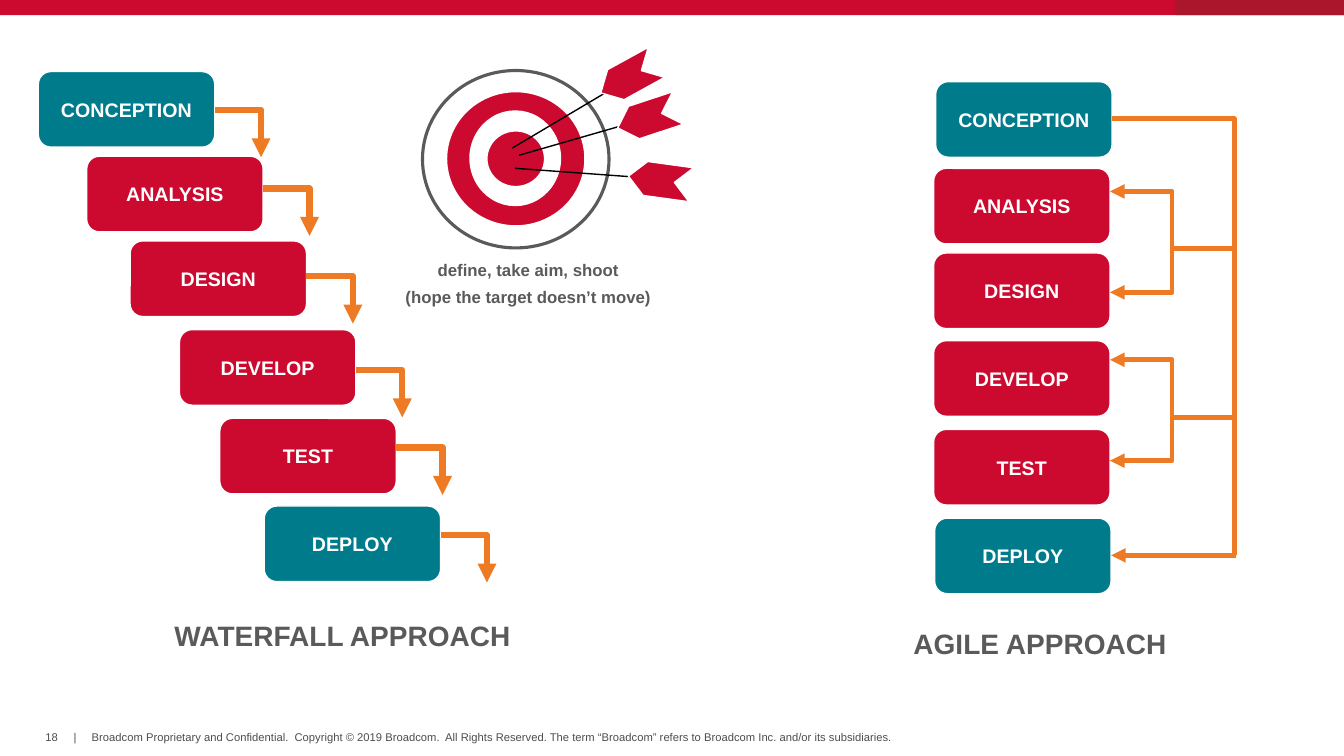
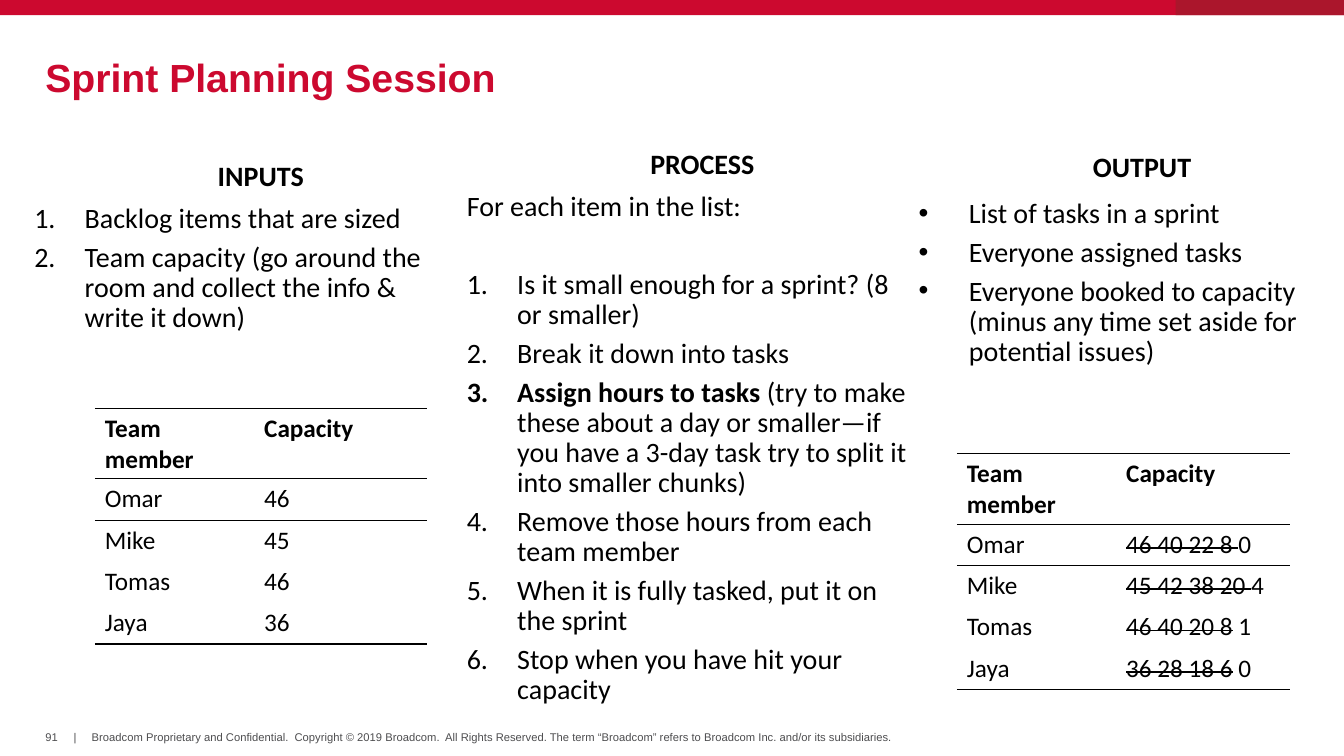
from lxml import etree
from pptx import Presentation
from pptx.dml.color import RGBColor
from pptx.enum.shapes import MSO_CONNECTOR, MSO_SHAPE
from pptx.enum.text import MSO_ANCHOR, PP_ALIGN
from pptx.oxml.ns import qn
from pptx.util import Inches, Pt

RECTANGLE, ROUNDED = MSO_SHAPE.RECTANGLE, MSO_SHAPE.ROUNDED_RECTANGLE
OVAL, CHEVRON = MSO_SHAPE.OVAL, MSO_SHAPE.CHEVRON
STRAIGHT, ELBOW = MSO_CONNECTOR.STRAIGHT, MSO_CONNECTOR.ELBOW
LEFT, CENTER = PP_ALIGN.LEFT, PP_ALIGN.CENTER
TOP, MIDDLE = MSO_ANCHOR.TOP, MSO_ANCHOR.MIDDLE

RED, DARK_RED, TEAL, ORANGE = "CC092F", "AB162C", "007B8C", "EE7B23"
GRAY, FOOTER_GRAY, WHITE, BLACK = "5A5A5A", "4D4D4F", "FFFFFF", "000000"

FOOTER = {"name": "Arial", "size": Pt(8), "color": FOOTER_GRAY}
TITLE = {"name": "Arial", "size": Pt(28), "color": RED, "bold": True}
STAGE = {"name": "Arial", "size": Pt(14), "color": WHITE, "bold": True}
APPROACH = {"name": "Arial", "size": Pt(20), "color": GRAY, "bold": True}
CAPTION = {**APPROACH, "size": Pt(12)}
BODY = {"name": "Calibri", "size": Pt(20), "color": BLACK}
HEADING = {**BODY, "bold": True}
CELL = {**BODY, "size": Pt(18)}

NUMBER = ("a:buAutoNum", {"type": "arabicPeriod"})
BULLET = ("a:buChar", {"char": "•"})
NO_TABLE_STYLE = "{2D5ABB26-0587-4C30-8999-92F81FD0307C}"
COPYRIGHT = (
    "Broadcom Proprietary and Confidential.  Copyright © 2019 Broadcom.  "
    "All Rights Reserved. The term “Broadcom” refers to Broadcom Inc. "
    "and/or its subsidiaries."
)

STAGE_WIDTH, STAGE_HEIGHT = 1.75, 0.75
STAGES = ["CONCEPTION", "ANALYSIS", "DESIGN", "DEVELOP", "TEST", "DEPLOY"]
WATERFALL = [
    (0.38, 0.71, 1.09), (0.86, 1.55, 1.87), (1.29, 2.39, 2.74),
    (1.78, 3.27, 3.67), (2.18, 4.15, 4.44), (2.62, 5.02, 5.31),
]
AGILE = [
    (9.28, 0.81), (9.26, 1.67), (9.26, 2.51),
    (9.26, 3.38), (9.26, 4.26), (9.27, 5.14),
]
TARGET_RINGS = [
    (4.19, 0.7, 1.85, 1.76, WHITE, GRAY),
    (4.42, 0.9, 1.39, 1.35, RED, WHITE),
    (4.67, 1.11, 0.88, 0.92, WHITE, WHITE),
    (4.82, 1.29, 0.59, 0.57, RED, WHITE),
]
DART_SHAFTS = [
    (5.08, 1.47, 6.14, 0.84),
    (5.15, 1.54, 6.4, 1.18),
    (5.11, 1.67, 6.48, 1.77),
]
DART_FLIGHTS = [(5.92, 0.6, 151.2), (6.11, 1, 161.7), (6.23, 1.62, 187.8)]

MEMBERS = ["Omar", "Mike", "Tomas", "Jaya"]
CAPACITIES = ["46", "45", "46", "36"]
REMAINING = [
    ("46 40 22 8 ", "0"), ("45 42 38 20 ", "4"),
    ("46 40 20 8", " 1"), ("36 28 18 6", " 0"),
]


def color(value):
    return RGBColor.from_string(value)


def add_child(parent, tag, **attributes):
    return etree.SubElement(parent, qn(tag), attributes)


class Deck:
    """Hold the shared style and the current slide."""

    def __init__(self):
        self.presentation = Presentation()
        self.presentation.slide_width = Inches(13.33)
        self.presentation.slide_height = Inches(7.5)
        self.slide = None

    def new_slide(self, number):
        layout = self.presentation.slide_layouts[6]
        self.slide = self.presentation.slides.add_slide(layout)
        self.shape(RECTANGLE, 0, 0, 13.33, 0.15, RED)
        self.shape(RECTANGLE, 11.66, 0, 1.67, 0.15, DARK_RED)
        for left, width, text in [
            (0.45, 0.14, number), (0.73, 0.03, "|"), (0.91, 8.01, COPYRIGHT)
        ]:
            self.text(left, 7.25, width, 0.13, [text], FOOTER,
                      wrap=False, spacing=1)

    def add_runs(self, paragraph, content, style):
        runs = [(content, {})] if isinstance(content, str) else content
        for text, changes in runs:
            run = paragraph.add_run()
            run.text = text
            for name, value in {**style, **changes}.items():
                if name == "color":
                    run.font.color.rgb = color(value)
                elif name == "strike":
                    run._r.get_or_add_rPr().set("strike", value)
                else:
                    setattr(run.font, name, value)

    def text(self, left, top, width, height, contents, style, wrap=True,
             align=LEFT, anchor=TOP, spacing=0.9, bullet=None, plain=0):
        box = self.slide.shapes.add_textbox(
            Inches(left), Inches(top), Inches(width), Inches(height))
        frame = box.text_frame
        settings = {"word_wrap": wrap, "vertical_anchor": anchor,
                    "margin_left": 0, "margin_right": 0,
                    "margin_top": 0, "margin_bottom": 0}
        for name, value in settings.items():
            setattr(frame, name, value)
        for index, content in enumerate(contents):
            paragraph = frame.add_paragraph() if index else frame.paragraphs[0]
            paragraph.alignment = align
            paragraph.line_spacing = spacing
            after_intro = plain and index == plain
            paragraph.space_before = Pt(34 if after_intro else 6 if index else 0)
            if bullet and index >= plain:
                self.bullet(paragraph, bullet)
            self.add_runs(paragraph, content, style)

    def bullet(self, paragraph, kind):
        properties = paragraph._p.get_or_add_pPr()
        properties.set("marL", str(Inches(0.5)))
        properties.set("indent", str(-Inches(0.5)))
        tag, attributes = kind
        add_child(properties, "a:buFont", typeface="Arial" if kind is BULLET else "+mj-lt")
        add_child(properties, tag, **attributes)

    def shape(self, kind, left, top, width, height, fill,
              line=None, line_width=1, rotation=0):
        shape = self.slide.shapes.add_shape(
            kind, Inches(left), Inches(top), Inches(width), Inches(height))
        shape.shadow.inherit = False
        shape.rotation = rotation
        shape.fill.solid()
        shape.fill.fore_color.rgb = color(fill)
        if line:
            shape.line.color.rgb = color(line)
            shape.line.width = Pt(line_width)
        else:
            shape.line.fill.background()
        return shape

    def stage(self, left, top, text):
        fill = TEAL if text in (STAGES[0], STAGES[-1]) else RED
        shape = self.shape(ROUNDED, left, top, STAGE_WIDTH, STAGE_HEIGHT,
                           fill, WHITE)
        shape.text_frame.vertical_anchor = MIDDLE
        paragraph = shape.text_frame.paragraphs[0]
        paragraph.alignment = CENTER
        self.add_runs(paragraph, text, STAGE)

    def connector(self, kind, start_x, start_y, end_x, end_y, line,
                  width, arrow=False, one_bend=False):
        connector = self.slide.shapes.add_connector(
            kind, Inches(start_x), Inches(start_y), Inches(end_x), Inches(end_y))
        connector.line.color.rgb = color(line)
        connector.line.width = Pt(width)
        properties = connector._element.spPr
        if one_bend:
            properties.find(qn("a:prstGeom")).set("prst", "bentConnector2")
        if arrow:
            add_child(properties.find(qn("a:ln")), "a:tailEnd", type="triangle")
        add_child(properties, "a:effectLst")

    def border(self, cell, sides):
        properties = cell._tc.get_or_add_tcPr()
        for position, side in enumerate(sides):
            line = etree.Element(qn(f"a:ln{side}"), {"w": str(Pt(1))})
            fill = add_child(line, "a:solidFill")
            add_child(fill, "a:srgbClr", val=BLACK)
            properties.insert(position, line)

    def capacity_table(self, left, top, capacities):
        rows = [("Team member", "Capacity"), *zip(MEMBERS, capacities)]
        table = self.slide.shapes.add_table(
            len(rows), 2, Inches(left), Inches(top),
            Inches(3.3), Inches(2.34)).table
        table.horz_banding = False
        table._tbl.tblPr.find(qn("a:tableStyleId")).text = NO_TABLE_STYLE
        for column, width in zip(table.columns, (1.58, 1.72)):
            column.width = Inches(width)
        last = len(rows) - 1
        for index, contents in enumerate(rows):
            table.rows[index].height = Inches(0.41 if index else 0.7)
            style = {**CELL, "bold": index == 0}
            for column, content in enumerate(contents):
                cell = table.cell(index, column)
                cell.fill.background()
                self.add_runs(cell.text_frame.paragraphs[0], content, style)
                self.border(cell, {0: "TB", 1: "T", last: "B"}.get(index, ""))


def add_approaches(deck):
    deck.new_slide("18")
    for name, (left, top, arrow_y) in zip(STAGES, WATERFALL):
        deck.stage(left, top, name)
        right = left + STAGE_WIDTH
        deck.connector(ELBOW, right, arrow_y, right + 0.46, arrow_y + 0.47,
                       ORANGE, 4.5, arrow=True, one_bend=True)
    for name, (left, top) in zip(STAGES, AGILE):
        deck.stage(left, top, name)

    trunk = 12.24
    deck.connector(ELBOW, 11.03, 1.18, trunk, 5.51, ORANGE, 3.5, one_bend=True)
    deck.connector(STRAIGHT, trunk + 0.02, 5.51, 11.02, 5.51, ORANGE, 3.5,
                   arrow=True)
    for branch_y in (2.47, 4.14):
        for offset in (-0.57, 0.43):
            deck.connector(ELBOW, trunk, branch_y, 11.01, branch_y + offset,
                           ORANGE, 3.5, arrow=True)

    deck.text(1.73, 6.17, 3.37, 0.3, ["WATERFALL APPROACH"], APPROACH, wrap=False)
    deck.text(9.06, 6.25, 2.53, 0.3, ["AGILE APPROACH"], APPROACH, wrap=False)

    for left, top, width, height, fill, line in TARGET_RINGS:
        deck.shape(OVAL, left, top, width, height, fill, line, 2.25)
    for shaft in DART_SHAFTS:
        deck.connector(STRAIGHT, *shaft, BLACK, 1)
    for left, top, rotation in DART_FLIGHTS:
        deck.shape(CHEVRON, left, top, 0.63, 0.34, RED, WHITE, rotation=rotation)
    deck.text(4.01, 2.6, 2.46, 0.45,
              ["define, take aim, shoot", "(hope the target doesn’t move)"],
              CAPTION, wrap=False, align=CENTER)


def add_sprint_planning(deck):
    deck.new_slide("91")
    deck.text(0.45, 0.6, 12.43, 0.4, ["Sprint Planning Session"], TITLE,
              anchor=MIDDLE, spacing=0.85)
    for left, top, width, heading in [
        (2.16, 1.61, 0.86, "INPUTS"),
        (6.45, 1.49, 1.04, "PROCESS"),
        (10.84, 1.52, 0.98, "OUTPUT"),
    ]:
        deck.text(left, top, width, 0.3, [heading], HEADING, wrap=False)

    deck.text(0.34, 2.03, 3.99, 1.68, [
        "Backlog items that are sized",
        "Team capacity (go around the room and collect the info & write it down)",
    ], BODY, bullet=NUMBER)
    deck.text(4.63, 1.91, 4.48, 5.2, [
        "For each item in the list:",
        "Is it small enough for a sprint? (8 or smaller)",
        "Break it down into tasks",
        [("Assign hours to tasks ", {"bold": True}),
         ("(try to make these about a day or smaller—if you have a 3-day "
          "task try to split it into smaller chunks)", {})],
        "Remove those hours from each team member",
        "When it is fully tasked, put it on the sprint",
        "Stop when you have hit your capacity",
    ], BODY, bullet=NUMBER, plain=1)
    deck.text(9.11, 1.98, 3.99, 2.07, [
        "List of tasks in a sprint",
        "Everyone assigned tasks",
        "Everyone booked to capacity (minus any time set aside for potential issues)",
    ], BODY, bullet=BULLET)

    deck.capacity_table(0.94, 4.05, CAPACITIES)
    deck.capacity_table(9.49, 4.5, [
        [(used, {"strike": "sngStrike"}), (left, {})] for used, left in REMAINING
    ])


def main():
    deck = Deck()
    add_approaches(deck)
    add_sprint_planning(deck)
    deck.presentation.save("out.pptx")


if __name__ == "__main__":
    main()
